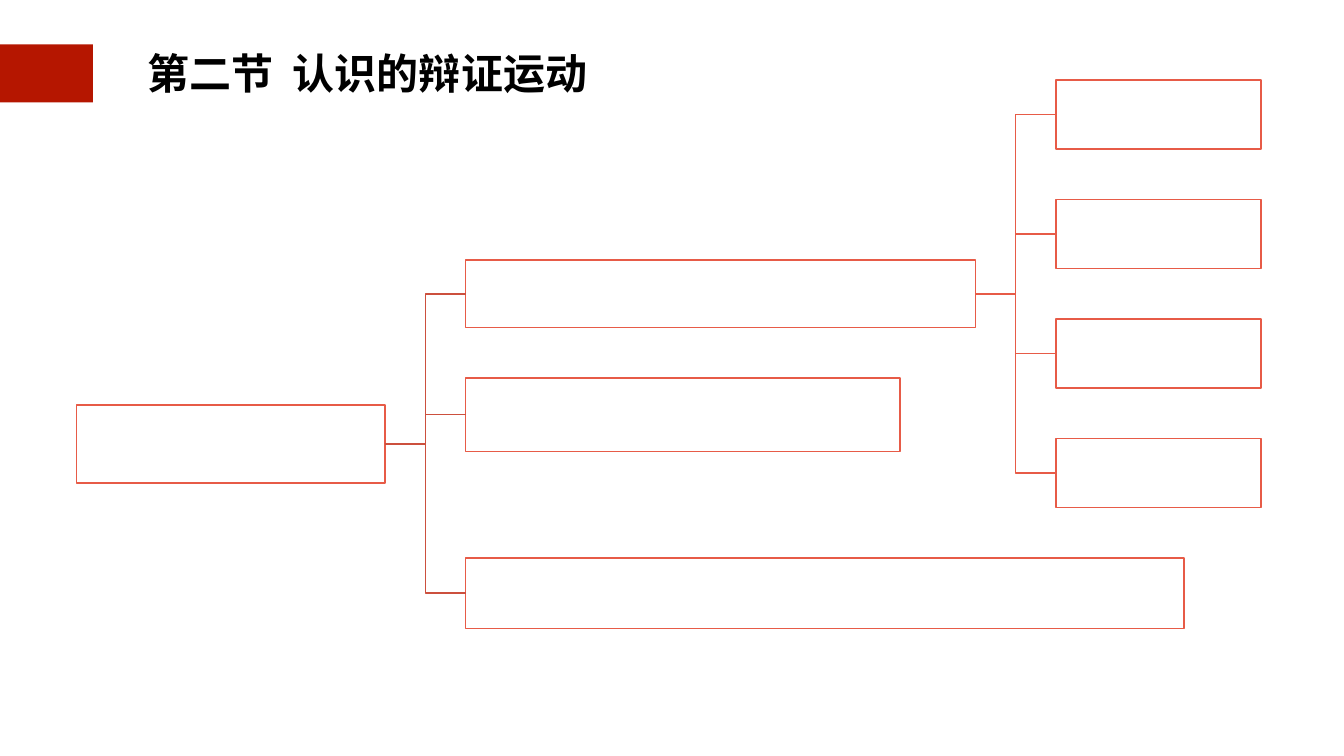
from pptx import Presentation
from pptx.dml.color import RGBColor
from pptx.enum.shapes import MSO_CONNECTOR as CONNECTOR, MSO_SHAPE as SHAPE
from pptx.enum.text import MSO_ANCHOR as ANCHOR, MSO_AUTO_SIZE as AUTO_SIZE, PP_ALIGN as ALIGN
from pptx.oxml.ns import qn
from pptx.util import Pt
from lxml import etree


def color(hex_string):
    return RGBColor.from_string(hex_string)


def add_box(left, top, width, height, fill, line=None):
    shape = slide.shapes.add_shape(SHAPE.RECTANGLE, Pt(left), Pt(top), Pt(width), Pt(height))
    shape.shadow.inherit = False
    shape.fill.solid()
    shape.fill.fore_color.rgb = color(fill)
    if line:
        shape.line.color.rgb = color(line)
        shape.line.width = Pt(2)
    else:
        shape.line.fill.background()
    return shape


presentation = Presentation()
presentation.slide_width, presentation.slide_height = Pt(1920), Pt(1080)
slide = presentation.slides.add_slide(presentation.slide_layouts[5])

# Red marker beside the title
add_box(-2, 63.4, 134.6, 82.8, "B51600")

# Title
title = slide.shapes.title
title.left, title.top, title.width, title.height = Pt(203.8), Pt(58.3), Pt(642.2), Pt(92.2)
title.text_frame.text = "第二节  认识的辩证运动"
frame_format = {
    "margin_left": Pt(4), "margin_right": Pt(4), "margin_top": Pt(4), "margin_bottom": Pt(4),
    "word_wrap": False, "auto_size": AUTO_SIZE.NONE, "vertical_anchor": ANCHOR.MIDDLE,
}
for name, value in frame_format.items():
    setattr(title.text_frame, name, value)
paragraph = title.text_frame.paragraphs[0]
paragraph.alignment = ALIGN.CENTER
font = paragraph.runs[0].font
for name, value in {"name": "Arial", "size": Pt(60), "bold": True}.items():
    setattr(font, name, value)
font.color.rgb = color("000000")

# Tree boxes: root, three branches, four evenly spaced leaves
BOX_FILL, BOX_LINE = "FFFFFF", "E75B47"
root = add_box(109.4, 578.9, 440.6, 110.9, BOX_FILL, BOX_LINE)
branches = [
    add_box(665.3, top, width, height, BOX_FILL, BOX_LINE)
    for top, width, height in [(371.5, 727.9, 96.5), (540, 620.6, 105.1), (797, 1026, 100.8)]
]
leaves = [
    add_box(1508.4, 114.5 + 170.6 * row, 293, 98.6, BOX_FILL, BOX_LINE)
    for row in range(4)
]

# Elbow connectors from each parent's right side to its children's left sides
RIGHT_SITE, LEFT_SITE = 3, 1
for parent, children, line in [(root, branches, "CC503E"), (branches[0], leaves, "E75B47")]:
    for child in children:
        connector = slide.shapes.add_connector(CONNECTOR.ELBOW, 0, 0, 0, 0)
        connector.begin_connect(parent, RIGHT_SITE)
        connector.end_connect(child, LEFT_SITE)
        connector.line.color.rgb = color(line)
        connector.line.width = Pt(2)
        etree.SubElement(connector._element.spPr, qn("a:effectLst"))

presentation.save("out.pptx")
